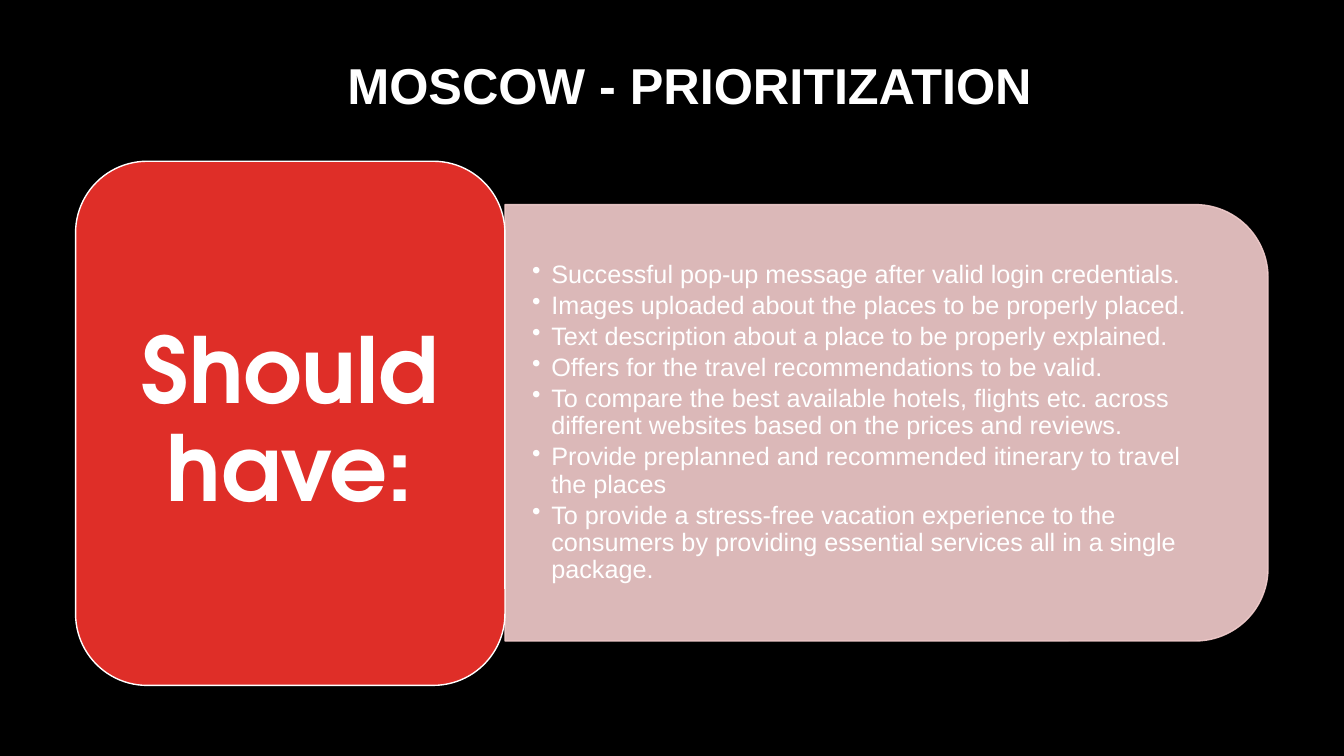
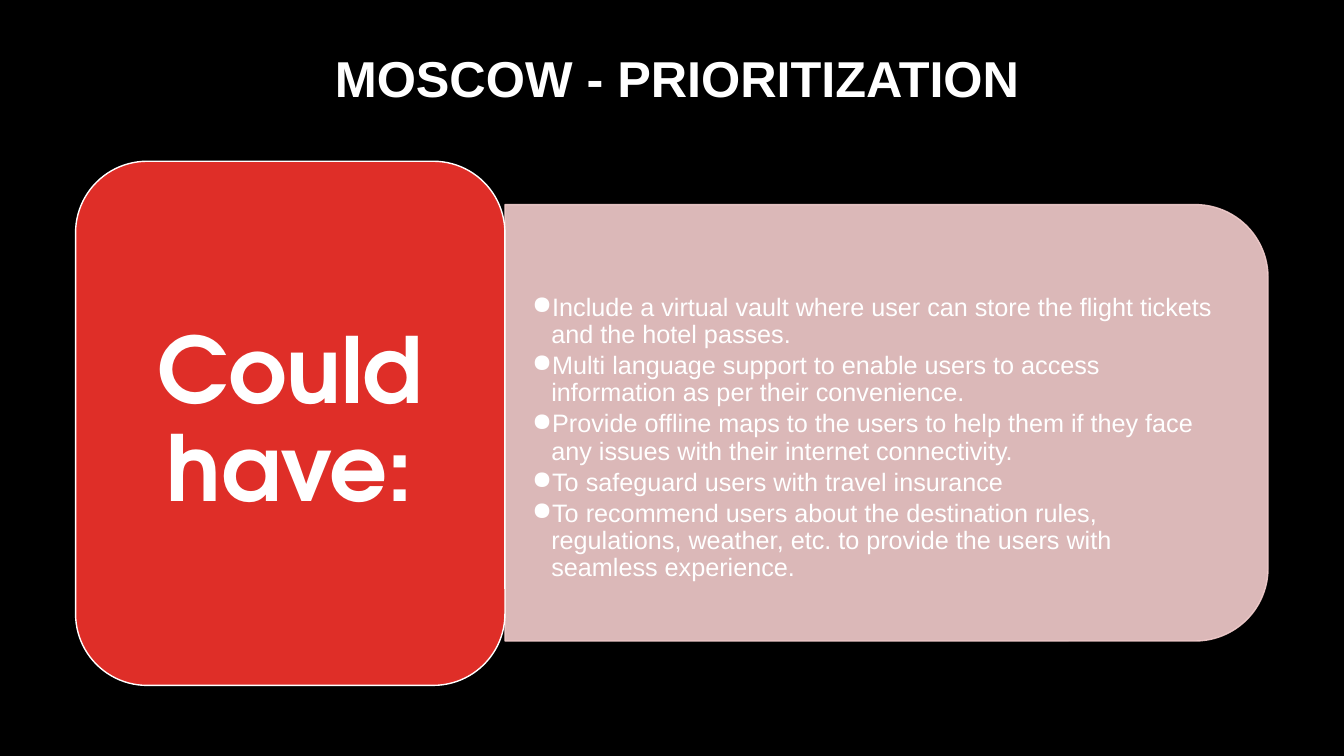
"""Build two MoSCoW prioritization slides, each with a label card and a bullet panel."""
from dataclasses import dataclass

from lxml import etree
from pptx import Presentation
from pptx.dml.color import RGBColor
from pptx.enum.shapes import MSO_SHAPE
from pptx.enum.text import MSO_ANCHOR, PP_ALIGN
from pptx.oxml.ns import qn
from pptx.util import Pt

ROUNDED = MSO_SHAPE.ROUNDED_RECTANGLE
ROUND_TOP = MSO_SHAPE.ROUND_2_SAME_RECTANGLE
MIDDLE = MSO_ANCHOR.MIDDLE
CENTER = PP_ALIGN.CENTER
LEFT = PP_ALIGN.LEFT


@dataclass(frozen=True)
class TextStyle:
    font: str
    size: float
    bold: bool
    align: PP_ALIGN


@dataclass(frozen=True)
class Theme:
    background: RGBColor = RGBColor(0x00, 0x00, 0x00)
    text: RGBColor = RGBColor(0xFF, 0xFF, 0xFF)
    card: RGBColor = RGBColor(0xDF, 0x2E, 0x28)
    panel: RGBColor = RGBColor(0xF3, 0xCD, 0xCD)
    panel_opacity: int = 90
    title: TextStyle = TextStyle("Arial", 36, True, CENTER)
    label: TextStyle = TextStyle("TeX Gyre Adventor", 65, True, CENTER)
    bullet: TextStyle = TextStyle("Arial", 18, False, LEFT)
    line_spacing: float = 0.9
    bullet_gap: float = 2.7
    bullet_indent: float = 13.68
    inset_x: float = 19.44
    inset_y: float = 10.08


@dataclass(frozen=True)
class Area:
    left: float
    top: float
    width: float
    height: float

    def lengths(self) -> tuple:
        return Pt(self.left), Pt(self.top), Pt(self.width), Pt(self.height)


@dataclass(frozen=True)
class Priority:
    label: str
    title_area: Area
    marker: str
    top_space: float
    items: tuple[str, ...]


THEME = Theme()
PAGE_WIDTH, PAGE_HEIGHT = 960, 540
TITLE = "MOSCOW - PRIORITIZATION"
CARD = Area(54, 115.2, 306.72, 374.4)
PANEL = Area(CARD.left + CARD.width, 146.16, 545.04, 311.76)
PANEL_TEXT = Area(PANEL.left, 161.28, 529.92, 281.52)

PRIORITIES = (
    Priority("Should have:", Area(216.7, 40, 552.2, 46), "•", 0, (
        "Successful pop-up message after valid login credentials.",
        "Images uploaded about the places to be properly placed.",
        "Text description about a place to be properly explained.",
        "Offers for the travel recommendations to be valid.",
        "To compare the best available hotels, flights etc. across different "
        "websites based on the prices and reviews.",
        "Provide preplanned and recommended itinerary to travel the places",
        "To provide a stress-free vacation experience to the consumers by "
        "providing essential services all in a single package.",
    )),
    Priority("Could have:", Area(227.5, 35, 512.6, 46), "●", 22, (
        "Include a virtual vault where user can store the flight tickets "
        "and the hotel passes.",
        "Multi language support to enable users to access information as "
        "per their convenience.",
        "Provide offline maps to the users to help them if they face any "
        "issues with their internet connectivity.",
        "To safeguard users with travel insurance",
        "To recommend users about the destination rules, regulations, "
        "weather, etc. to provide the users with seamless experience.",
    )),
)


def set_frame(frame, inset_x: float, inset_y: float, top_space: float = 0) -> None:
    frame.word_wrap = True
    frame.vertical_anchor = MIDDLE
    frame.margin_left = frame.margin_right = Pt(inset_x)
    frame.margin_top = Pt(inset_y + top_space)
    frame.margin_bottom = Pt(inset_y)


def write_text(para, text: str, style: TextStyle) -> None:
    para.alignment = style.align
    para.line_spacing = THEME.line_spacing
    span = para.add_run()
    span.text = text
    span.font.name = style.font
    span.font.size = Pt(style.size)
    span.font.bold = style.bold
    span.font.color.rgb = THEME.text


def set_bullet(para, marker: str) -> None:
    para.space_after = Pt(THEME.bullet_gap)
    properties = para._p.get_or_add_pPr()
    properties.set("marL", str(Pt(THEME.bullet_indent)))
    properties.set("indent", str(-Pt(THEME.bullet_indent)))
    etree.SubElement(properties, qn("a:buChar")).set("char", marker)


def add_block(page, kind: MSO_SHAPE, area: Area, fill: RGBColor, line: RGBColor):
    shape = page.shapes.add_shape(kind, *area.lengths())
    shape.shadow.inherit = False
    shape.fill.solid()
    shape.fill.fore_color.rgb = fill
    shape.line.color.rgb = line
    shape.line.width = Pt(1)
    return shape


def add_title(page, area: Area) -> None:
    box = page.shapes.add_textbox(*area.lengths())
    set_frame(box.text_frame, 7.2, 3.6)
    write_text(box.text_frame.paragraphs[0], TITLE, THEME.title)


def add_panel(page) -> None:
    upright = Area(
        PANEL.left + (PANEL.width - PANEL.height) / 2,
        PANEL.top + (PANEL.height - PANEL.width) / 2,
        PANEL.height,
        PANEL.width,
    )
    panel = add_block(page, ROUND_TOP, upright, THEME.panel, THEME.panel)
    panel.rotation = 90
    for color in panel._element.spPr.iter(qn("a:srgbClr")):
        alpha = etree.SubElement(color, qn("a:alpha"))
        alpha.set("val", str(THEME.panel_opacity * 1000))


def add_bullets(page, priority: Priority) -> None:
    box = page.shapes.add_textbox(*PANEL_TEXT.lengths())
    frame = box.text_frame
    set_frame(frame, THEME.inset_x, THEME.inset_y, priority.top_space)
    for index, item in enumerate(priority.items):
        para = frame.add_paragraph() if index else frame.paragraphs[0]
        set_bullet(para, priority.marker)
        write_text(para, item, THEME.bullet)


def add_card(page, label: str) -> None:
    card = add_block(page, ROUNDED, CARD, THEME.card, THEME.text)
    set_frame(card.text_frame, THEME.inset_x, THEME.inset_y)
    write_text(card.text_frame.paragraphs[0], label, THEME.label)


def add_page(deck, priority: Priority) -> None:
    page = deck.slides.add_slide(deck.slide_layouts[6])
    page.background.fill.solid()
    page.background.fill.fore_color.rgb = THEME.background
    add_title(page, priority.title_area)
    add_panel(page)
    add_bullets(page, priority)
    add_card(page, priority.label)


def main() -> None:
    deck = Presentation()
    deck.slide_width, deck.slide_height = Pt(PAGE_WIDTH), Pt(PAGE_HEIGHT)
    for priority in PRIORITIES:
        add_page(deck, priority)
    deck.save("out.pptx")


if __name__ == "__main__":
    main()
